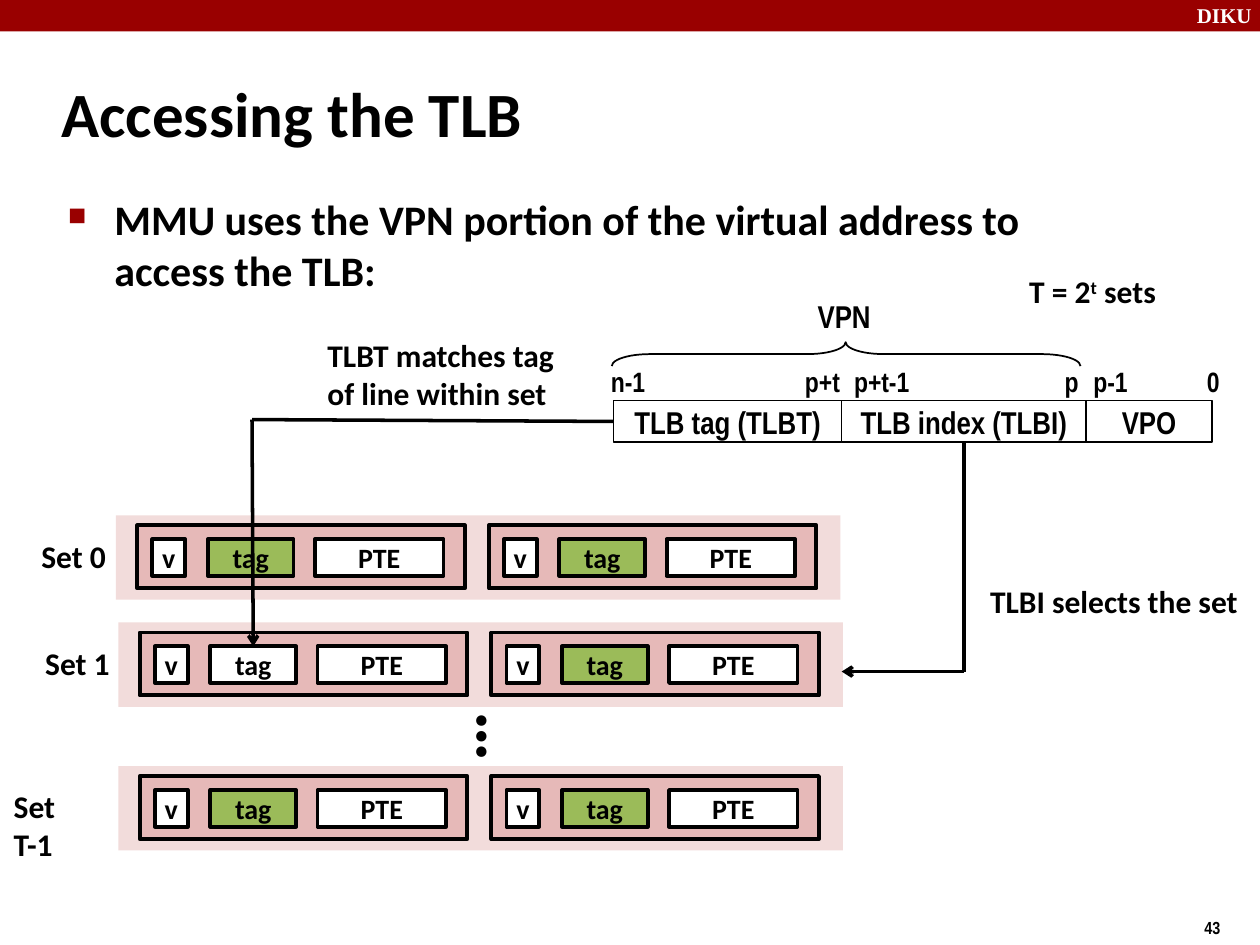
from lxml import etree
from pptx import Presentation
from pptx.dml.color import RGBColor
from pptx.enum.shapes import MSO_CONNECTOR, MSO_SHAPE
from pptx.enum.text import MSO_ANCHOR, PP_ALIGN
from pptx.oxml.ns import qn
from pptx.util import Inches, Pt

BLACK = RGBColor(0, 0, 0)
WHITE = RGBColor(255, 255, 255)
DARK_RED = RGBColor(0x99, 0, 0)
SET_PINK = RGBColor(0xF2, 0xDC, 0xDB)
LINE_PINK = RGBColor(0xE6, 0xB9, 0xB8)
TAG_GREEN = RGBColor(0x9B, 0xBB, 0x59)
RECTANGLE = MSO_SHAPE.RECTANGLE
LEFT_BRACE = MSO_SHAPE.LEFT_BRACE
STRAIGHT = MSO_CONNECTOR.STRAIGHT
TOP = MSO_ANCHOR.TOP
MIDDLE = MSO_ANCHOR.MIDDLE
CENTER = PP_ALIGN.CENTER
LEFT = PP_ALIGN.LEFT

presentation = Presentation()
presentation.slide_width = Inches(10)
presentation.slide_height = Inches(7.5)
slide = presentation.slides.add_slide(presentation.slide_layouts[6])
shapes = slide.shapes


def add_box(x, y, width, height, fill=None, line_width=None, kind=RECTANGLE):
    shape = shapes.add_shape(kind, Inches(x), Inches(y), Inches(width), Inches(height))
    shape.shadow.inherit = False
    if fill is None:
        shape.fill.background()
    else:
        shape.fill.solid()
        shape.fill.fore_color.rgb = fill
    if line_width is None:
        shape.line.fill.background()
    else:
        shape.line.color.rgb = BLACK
        shape.line.width = Pt(line_width)
    return shape


def write(shape, text, size, font_name="Calibri", color=BLACK, wrap=False, anchor=TOP, align=LEFT):
    frame = shape.text_frame
    frame.word_wrap = wrap
    frame.vertical_anchor = anchor
    paragraph = frame.paragraphs[0]
    paragraph.alignment = align
    run = paragraph.add_run()
    run.text = text
    paragraph.font.size = Pt(size)
    for font in (paragraph.font, run.font):
        font.size = Pt(size)
        font.name = font_name
        font.bold = True
        font.color.rgb = color
    return paragraph


add_box(0, 0, 10, 0.25, DARK_RED)

labels = [
    ("DIKU", 9.4, -0.03, 0.67, 0.3, 12, "Times New Roman", WHITE, True, TOP),
    ("43", 9.46, 7.23, 0.75, 0.27, 10, "Arial Narrow", BLACK, False, TOP),
    ("Accessing the TLB", 0.39, 0.48, 8.3, 0.83, 36, "Calibri", BLACK, True, MIDDLE),
    ("VPN", 6.39, 2.31, 0.62, 0.4, 18, "Arial Narrow", BLACK, False, MIDDLE),
    ("TLBI selects the set", 7.76, 4.57, 2.17, 0.4, 18, "Calibri", BLACK, False, TOP),
    ("TLBT matches tag of line within set", 2.5, 2.62, 2.25, 0.7, 18, "Calibri", BLACK, True, TOP),
]
for text, x, y, width, height, size, font_name, color, wrap, anchor in labels:
    label = shapes.add_textbox(Inches(x), Inches(y), Inches(width), Inches(height))
    write(label, text, size, font_name, color, wrap, anchor)

body = shapes.add_textbox(Inches(0.43), Inches(1.49), Inches(8.63), Inches(0.93))
paragraph = body.text_frame.paragraphs[0]
properties = paragraph._p.get_or_add_pPr()
properties.set("marL", str(Inches(0.38)))
properties.set("indent", str(Inches(-0.37)))
bullet_color = etree.SubElement(properties, qn("a:buClr"))
etree.SubElement(bullet_color, qn("a:srgbClr"), val=str(DARK_RED))
etree.SubElement(properties, qn("a:buSzPct"), val="60000")
etree.SubElement(properties, qn("a:buChar"), char="■")
write(body, "MMU uses the VPN portion of the virtual address to access the TLB:", 24, wrap=True)

address_fields = {}
x = 4.87
for name, width in (("TLB tag (TLBT)", 1.81), ("TLB index (TLBI)", 1.94), ("VPO", 1)):
    field = add_box(x, 3.18, width, 0.33, WHITE, 1)
    write(field, name, 18, "Arial Narrow", anchor=MIDDLE, align=CENTER)
    address_fields[name] = field
    x += width

bit_labels = [
    ("n-1", 4.75, 0.47), ("p+t", 6.29, 0.48), ("p+t-1", 6.68, 0.64),
    ("p", 8.35, 0.31), ("p-1", 8.58, 0.47), ("0", 9.48, 0.3),
]
for text, x, width in bit_labels:
    bit_label = shapes.add_textbox(Inches(x), Inches(2.85), Inches(width), Inches(0.36))
    write(bit_label, text, 16, "Arial Narrow", anchor=MIDDLE)

brace = add_box(6.62, 0.95, 0.19, 3.72, line_width=1, kind=LEFT_BRACE)
brace.adjustments[0] = 1.595
brace.adjustments[1] = 0.499
brace.rotation = 90
brace._element.spPr.find(qn("a:xfrm")).set("flipV", "1")

set_count = shapes.add_textbox(Inches(8.07), Inches(2.11), Inches(1.25), Inches(0.4))
paragraph = write(set_count, "T = 2", 18, wrap=True)
for text, baseline in (("t", "30000"), (" sets", "0")):
    run = paragraph.add_run()
    run.text = text
    run.font.size = Pt(18)
    run.font.name = "Calibri"
    run.font.bold = True
    run.font.color.rgb = BLACK
    run._r.get_or_add_rPr().set("baseline", baseline)

tags = {}
sets = [("Set 0", 0.23, 0.71, 0.92, 4.09), ("Set 1", 0.26, 0.71, 0.94, 4.94), ("Set T-1", 0.01, 0.89, 0.94, 6.08)]
for set_name, label_x, label_width, set_x, set_y in sets:
    set_label = shapes.add_textbox(Inches(label_x), Inches(set_y + 0.12), Inches(label_width), Inches(0.4))
    write(set_label, set_name, 18)
    add_box(set_x, set_y, 5.75, 0.67, SET_PINK)
    for way in range(2):
        line_x = set_x + 0.17 + way * 2.79
        add_box(line_x, set_y + 0.08, 2.6, 0.5, LINE_PINK, 2.25)
        matched = set_name == "Set 1" and way == 0
        tag_fill = WHITE if matched else TAG_GREEN
        for text, offset, width, fill in (
            ("v", 0.12, 0.26, WHITE), ("tag", 0.56, 0.68, tag_fill), ("PTE", 1.41, 1.02, WHITE)
        ):
            cell = add_box(line_x + offset, set_y + 0.19, width, 0.29, fill, 2.25)
            write(cell, text, 16, anchor=MIDDLE, align=CENTER)
            tags[set_name, way, text] = cell

dots = shapes.add_textbox(Inches(3.34), Inches(5.47), Inches(0.59), Inches(0.76))
write(dots, "…", 40)
dots.rotation = 270

tag_field = address_fields["TLB tag (TLBT)"]
index_field = address_fields["TLB index (TLBI)"]
matched_tag = tags["Set 1", 0, "tag"]
routes = [
    (7.65, 3.51, 7.65, 5.33, (index_field, 2), None, False),
    (7.65, 5.33, 6.68, 5.33, None, None, True),
    (4.87, 3.35, 2, 3.33, (tag_field, 1), None, False),
    (2, 3.33, 2.01, 5.13, None, (matched_tag, 0), True),
]
for x1, y1, x2, y2, start, end, has_arrow in routes:
    connector = shapes.add_connector(STRAIGHT, Inches(x1), Inches(y1), Inches(x2), Inches(y2))
    if start:
        connector.begin_connect(*start)
    if end:
        connector.end_connect(*end)
    connector.line.color.rgb = BLACK
    connector.line.width = Pt(2)
    if has_arrow:
        etree.SubElement(connector.line._get_or_add_ln(), qn("a:tailEnd"), type="arrow")
    etree.SubElement(connector._element.spPr, qn("a:effectLst"))

presentation.save("out.pptx")
